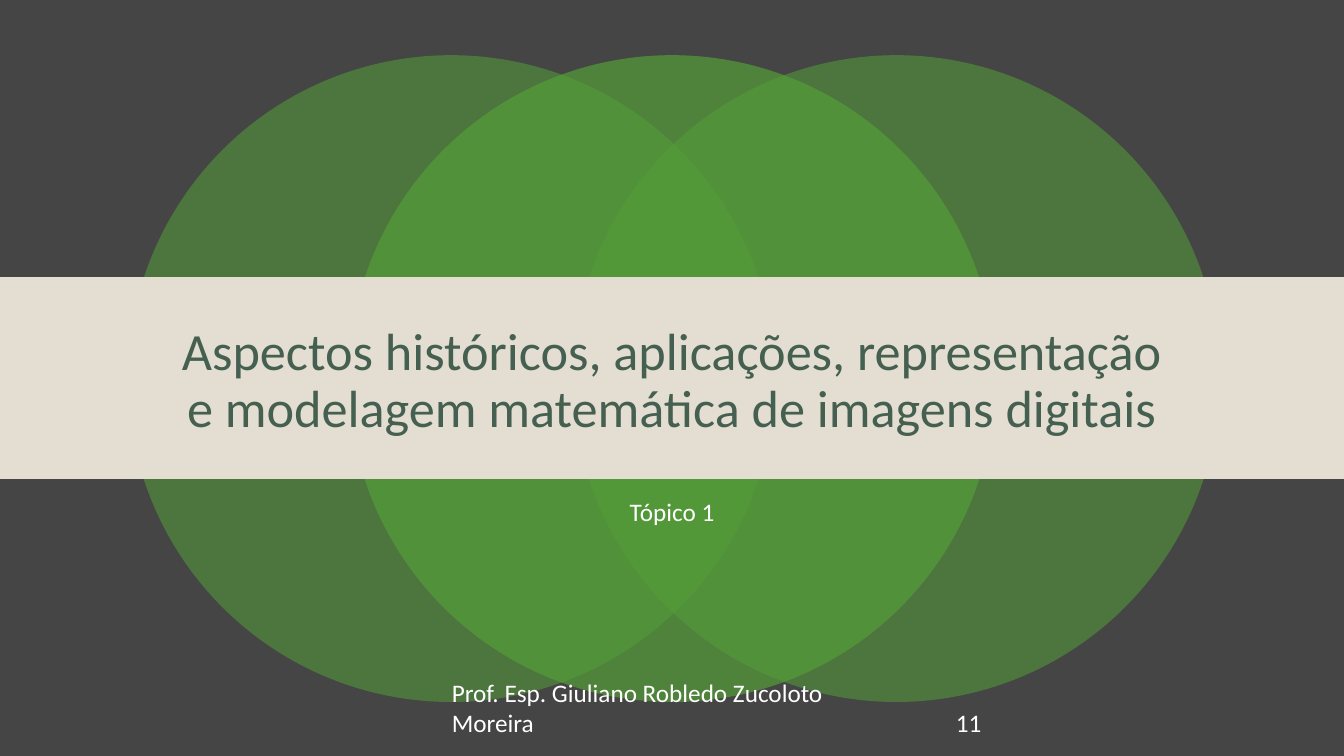
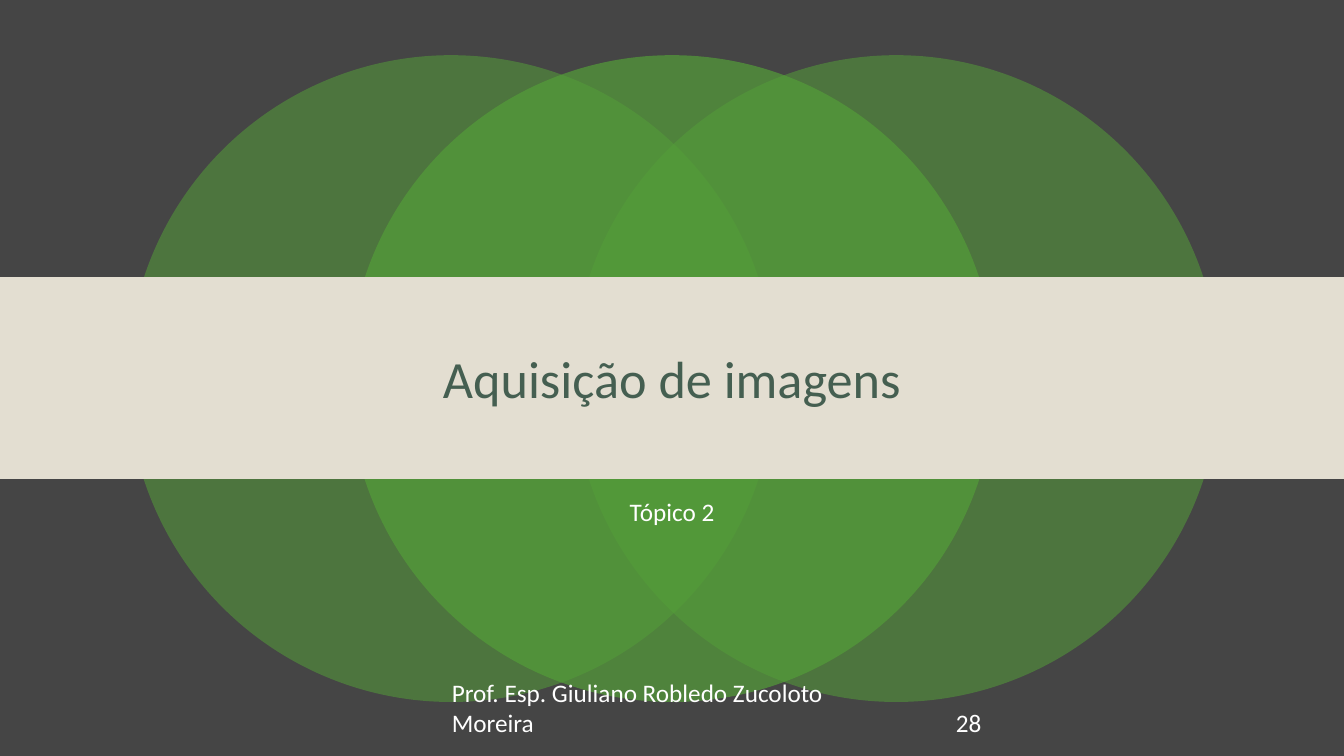
from dataclasses import dataclass

from lxml.etree import SubElement
from pptx import Presentation
from pptx.dml.color import RGBColor
from pptx.enum.shapes import MSO_SHAPE
from pptx.enum.text import MSO_ANCHOR, MSO_AUTO_SIZE, PP_ALIGN
from pptx.oxml.ns import qn
from pptx.shapes.autoshape import Shape
from pptx.slide import Slide
from pptx.util import Inches, Pt

WIDTH, HEIGHT = 20, 11.25
COLUMN, ROW = WIDTH / 16, HEIGHT / 30

FONT = "Calibri"
CHARCOAL, GREEN, SAND = "454545", "549E39", "E3DED1"
FOREST, WHITE = "455F51", "FFFFFF"
TITLE_SIZE, SMALL_SIZE = 56, 27
AUTHOR = "Prof. Esp. Giuliano Robledo Zucoloto Moreira"


@dataclass(frozen=True)
class Area:
    """A place on the grid, in columns across and rows down."""
    column: float
    row: float
    columns: float
    rows: float

    def box(self) -> tuple[int, int, int, int]:
        return (Inches(self.column * COLUMN), Inches(self.row * ROW),
                Inches(self.columns * COLUMN), Inches(self.rows * ROW))


@dataclass(frozen=True)
class Circle:
    column: float
    opacity: int

    def area(self) -> Area:
        return Area(self.column, 2.19, 7.7, 7.7 * COLUMN / ROW)


@dataclass(frozen=True)
class Topic:
    title: str
    label: str
    page: int


CIRCLES = [Circle(1.52, 55), Circle(6.82, 55), Circle(4.15, 70)]
BAND = Area(0, 11, 16, 8)
TITLE = Area(2, 12.13, 12, 6.05)
LABEL = Area(2, 19.68, 12, 3.33)
FOOTER = Area(5.3, 27.81, 5.4, 1.6)
PAGE = Area(11.3, 27.81, 3.6, 1.6)

TOPICS = [
    Topic("Aspectos históricos, aplicações, representação e modelagem "
          "matemática de imagens digitais", "Tópico 1", 11),
    Topic("Aquisição de imagens", "Tópico 2", 28),
]


def color(value: str) -> RGBColor:
    return RGBColor.from_string(value)


def paint(shape: Shape, fill: str, opacity: int = 100) -> None:
    shape.shadow.inherit = False
    shape.fill.solid()
    shape.fill.fore_color.rgb = color(fill)
    shape.line.fill.background()
    if opacity < 100:
        srgb = shape.fill._xPr.find(f".//{qn('a:srgbClr')}")
        SubElement(srgb, qn("a:alpha"), val=str(opacity * 1000))


def write(shape: Shape, text: str, size: int, ink: str,
          anchor: MSO_ANCHOR, align: PP_ALIGN, spacing: float = 1) -> None:
    frame = shape.text_frame
    frame.text = text
    frame.word_wrap = True
    frame.auto_size = MSO_AUTO_SIZE.NONE
    frame.vertical_anchor = anchor
    paragraph = frame.paragraphs[0]
    paragraph.alignment = align
    paragraph.line_spacing = spacing
    paragraph.space_before = Pt(0)
    font = paragraph.runs[0].font
    font.name, font.size, font.color.rgb = FONT, Pt(size), color(ink)


def bring_to_front(slide: Slide, placeholder: Shape, area: Area) -> None:
    """Place a placeholder on the grid, above everything drawn so far."""
    (placeholder.left, placeholder.top,
     placeholder.width, placeholder.height) = area.box()
    slide.shapes._spTree.append(placeholder._element)


def add_circles(slide: Slide) -> None:
    group = slide.shapes.add_group_shape()
    for circle in CIRCLES:
        oval = group.shapes.add_shape(MSO_SHAPE.OVAL, *circle.area().box())
        paint(oval, GREEN, circle.opacity)


def add_footer(slide: Slide, page: int) -> None:
    for area, text in ((FOOTER, AUTHOR), (PAGE, str(page))):
        write(slide.shapes.add_textbox(*area.box()), text, SMALL_SIZE, WHITE,
              MSO_ANCHOR.BOTTOM, PP_ALIGN.LEFT)


def add_topic_slide(prs: Presentation, topic: Topic) -> None:
    slide = prs.slides.add_slide(prs.slide_layouts[0])
    title, label = slide.placeholders
    add_circles(slide)

    bring_to_front(slide, label, LABEL)
    write(label, topic.label, SMALL_SIZE, WHITE,
          MSO_ANCHOR.TOP, PP_ALIGN.CENTER, 0.9)

    paint(slide.shapes.add_shape(MSO_SHAPE.RECTANGLE, *BAND.box()), SAND)
    bring_to_front(slide, title, TITLE)
    write(title, topic.title, TITLE_SIZE, FOREST,
          MSO_ANCHOR.MIDDLE, PP_ALIGN.CENTER, 0.9)

    add_footer(slide, topic.page)


def main() -> None:
    prs = Presentation()
    prs.slide_width, prs.slide_height = Inches(WIDTH), Inches(HEIGHT)
    backdrop = prs.slide_master.background.fill
    backdrop.solid()
    backdrop.fore_color.rgb = color(CHARCOAL)
    for topic in TOPICS:
        add_topic_slide(prs, topic)
    prs.save("out.pptx")


if __name__ == "__main__":
    main()
